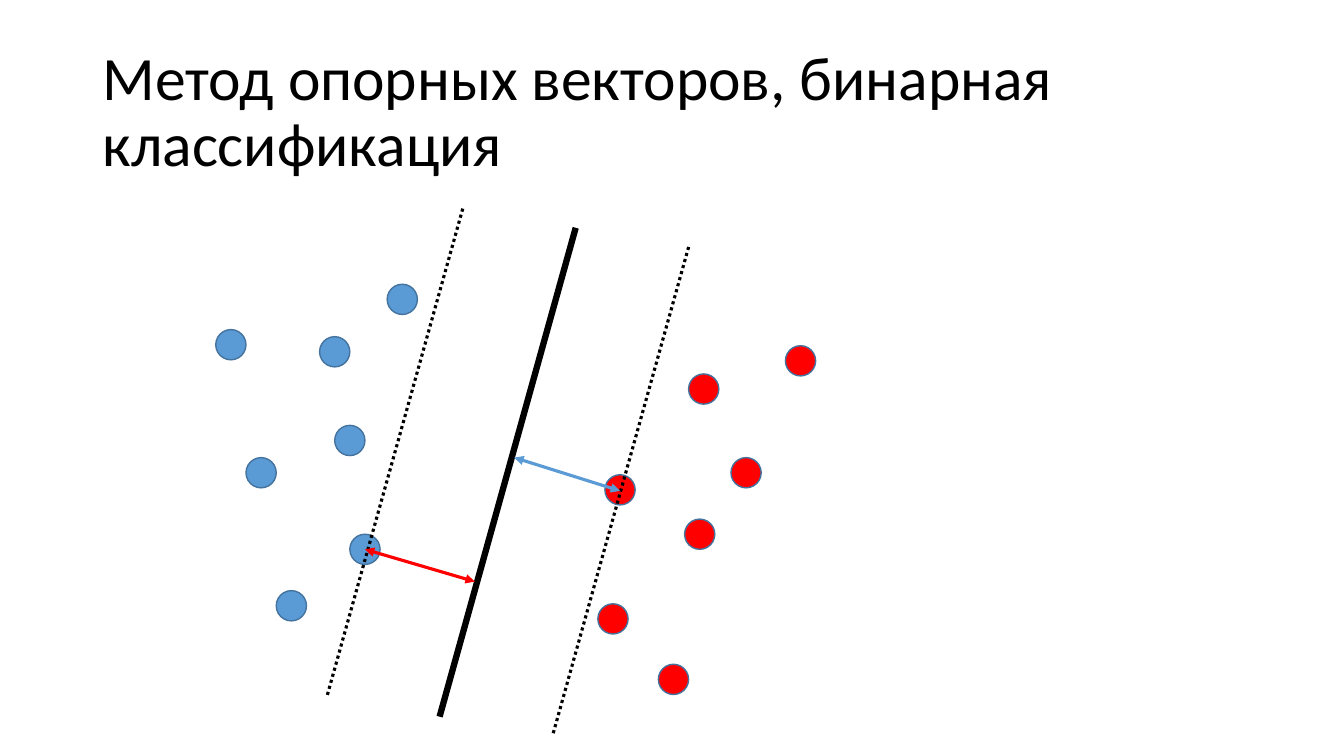
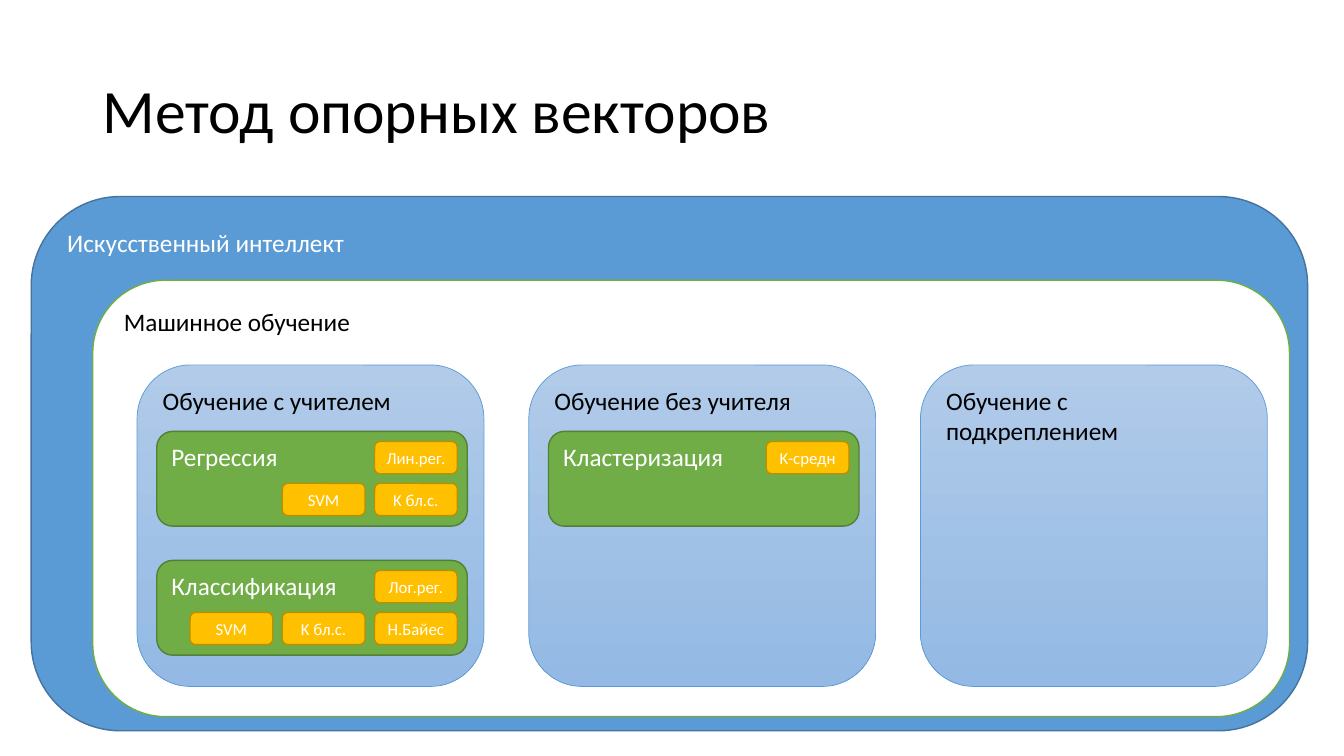
"""Two slides on support vector machines: the margin and its place in AI."""
from lxml import etree
from pptx import Presentation
from pptx.dml.color import RGBColor
from pptx.enum import dml, shapes, text
from pptx.oxml import ns
from pptx.util import Inches, Pt

BLUE, RED, GREEN, GOLD = "5B9BD5", "FF0000", "70AD47", "FFC000"
BLACK, WHITE, BLUE_EDGE = "000000", "FFFFFF", "43739E"
FONT = "Calibri"
SHADE = ("B1CBE9", "93B9E4")
TITLE_BOX = (0.92, 0.4, 11.5, 1.45)

TITLES = ["Метод опорных векторов, бинарная классификация", "Метод опорных векторов"]

DOT = 0.3
CLASSES = {
    BLUE: [(2.14, 3.27), (3.84, 2.82), (3.32, 4.22), (3.17, 3.34),
           (2.44, 4.54), (3.47, 5.3), (2.74, 5.86)],
    RED: [(6, 4.71), (6.83, 3.71), (7.25, 4.54), (6.79, 5.15),
          (5.93, 5.99), (6.53, 6.59), (7.79, 3.43)],
}
BOUNDARY = (5.71, 2.26, 4.36, 7.11)
MARGIN = (1.12, 0.19)
DISTANCES = [(RED, (3.62, 5.45, 4.71, 5.77)), (BLUE, (5.1, 4.54, 6.15, 4.87))]

FIELDS = [
    ("Искусственный интеллект", (0.31, 1.95, 12.66, 5.3), BLUE, BLUE_EDGE, WHITE),
    ("Машинное обучение", (0.92, 2.78, 11.87, 4.33), WHITE, GREEN, BLACK),
]
LEARNING = [
    ("Обучение с учителем", [
        ("Регрессия", [["Лин.рег."], ["SVM", "K бл.с."]]),
        ("Классификация", [["Лог.рег."], ["SVM", "K бл.с.", "Н.Байес"]]),
    ]),
    ("Обучение без учителя", [("Кластеризация", [["K-средн"]])]),
    ("Обучение с подкреплением", []),
]
COL_X, COL_Y, COL_W, COL_H, COL_STEP = 1.36, 3.62, 3.44, 3.19, 3.885
TASK_DX, TASK_DY, TASK_W, TASK_H, TASK_STEP = 0.195, 0.66, 3.08, 0.94, 1.28
CHIP_W, CHIP_H, CHIP_STEP, CHIP_ROW, CHIP_PAD = 0.82, 0.32, 0.915, 0.415, 0.1


def rgb(color):
    return RGBColor.from_string(color)


def write(sp, words, size=18, color=BLACK, align=text.PP_ALIGN.LEFT,
          anchor=text.MSO_ANCHOR.TOP, spacing=1.0, margin=0.1):
    tf = sp.text_frame
    tf.word_wrap = True
    tf.vertical_anchor = anchor
    tf.margin_left = tf.margin_right = Inches(margin)
    p = tf.paragraphs[0]
    p.alignment, p.line_spacing = align, spacing
    r = p.add_run()
    r.text = words
    r.font.name, r.font.size = FONT, Pt(size)
    r.font.color.rgb = rgb(color)


def add_shape(s, kind, box, fill, edge, width=1):
    sp = s.shapes.add_shape(kind, *map(Inches, box))
    sp.shadow.inherit = False
    if isinstance(fill, tuple):
        sp.fill.gradient()
        sp.fill.gradient_angle = 270
        for stop, color in zip(sp.fill.gradient_stops, fill):
            stop.color.rgb = rgb(color)
    else:
        sp.fill.solid()
        sp.fill.fore_color.rgb = rgb(fill)
    sp.line.color.rgb = rgb(edge)
    sp.line.width = Pt(width)
    return sp


def add_panel(s, words, box, fill, edge, width=1, **style):
    sp = add_shape(s, shapes.MSO_SHAPE.ROUNDED_RECTANGLE, box, fill, edge, width)
    write(sp, words, **style)


def add_line(s, ends, color, width=2.25, dotted=False, arrows=False):
    c = s.shapes.add_connector(shapes.MSO_CONNECTOR.STRAIGHT, *map(Inches, ends))
    c.line.color.rgb = rgb(color)
    c.line.width = Pt(width)
    if dotted:
        c.line.dash_style = dml.MSO_LINE.ROUND_DOT
    if arrows:
        ln = c.line._get_or_add_ln()
        for end in ("a:headEnd", "a:tailEnd"):
            etree.SubElement(ln, ns.qn(end), type="triangle")
    etree.SubElement(c._element.spPr, ns.qn("a:effectLst"))


def add_slide(prs, title):
    s = prs.slides.add_slide(prs.slide_layouts[6])
    sp = s.shapes.add_textbox(*map(Inches, TITLE_BOX))
    write(sp, title, size=44, anchor=text.MSO_ANCHOR.MIDDLE, spacing=0.9)
    return s


def draw_margin(s):
    for color, dots in CLASSES.items():
        for x, y in dots:
            add_shape(s, shapes.MSO_SHAPE.OVAL, (x, y, DOT, DOT), color, BLUE_EDGE)
    add_line(s, BOUNDARY, BLACK, width=4.5)
    for side in (-1, 1):
        ends = [v + side * d for v, d in zip(BOUNDARY, MARGIN * 2)]
        add_line(s, ends, BLACK, dotted=True)
    for color, ends in DISTANCES:
        add_line(s, ends, color, arrows=True)


def draw_task(s, name, methods, x, y):
    add_panel(s, name, (x, y, TASK_W, TASK_H), GREEN, "538035", color=WHITE)
    last = x + TASK_W - CHIP_PAD - CHIP_W
    for row, names in enumerate(methods):
        for back, method in enumerate(reversed(names)):
            box = (last - back * CHIP_STEP, y + CHIP_PAD + row * CHIP_ROW, CHIP_W, CHIP_H)
            add_panel(s, method, box, GOLD, "BD8E00", size=12, color=WHITE, margin=0.05,
                      align=text.PP_ALIGN.CENTER, anchor=text.MSO_ANCHOR.MIDDLE)


def draw_map(s):
    for name, box, fill, edge, color in FIELDS:
        add_panel(s, name, box, fill, edge, color=color)
    for col, (name, tasks) in enumerate(LEARNING):
        x = COL_X + col * COL_STEP
        add_panel(s, name, (x, COL_Y, COL_W, COL_H), SHADE, BLUE, width=0.5)
        for row, (task, methods) in enumerate(tasks):
            draw_task(s, task, methods, x + TASK_DX, COL_Y + TASK_DY + row * TASK_STEP)


prs = Presentation()
prs.slide_width, prs.slide_height = Inches(13.33), Inches(7.5)
for title, draw in zip(TITLES, (draw_margin, draw_map)):
    draw(add_slide(prs, title))
prs.save("out.pptx")
